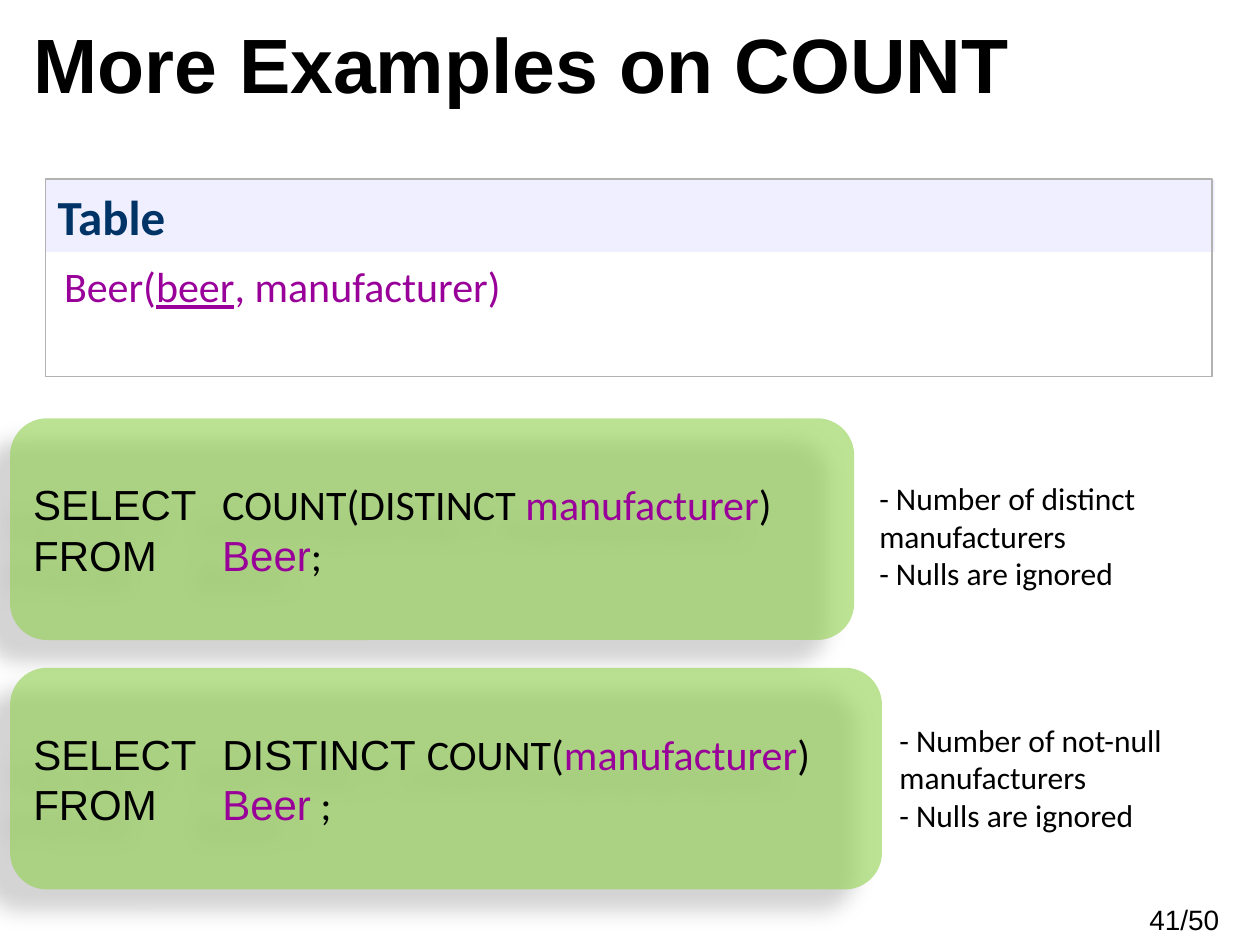
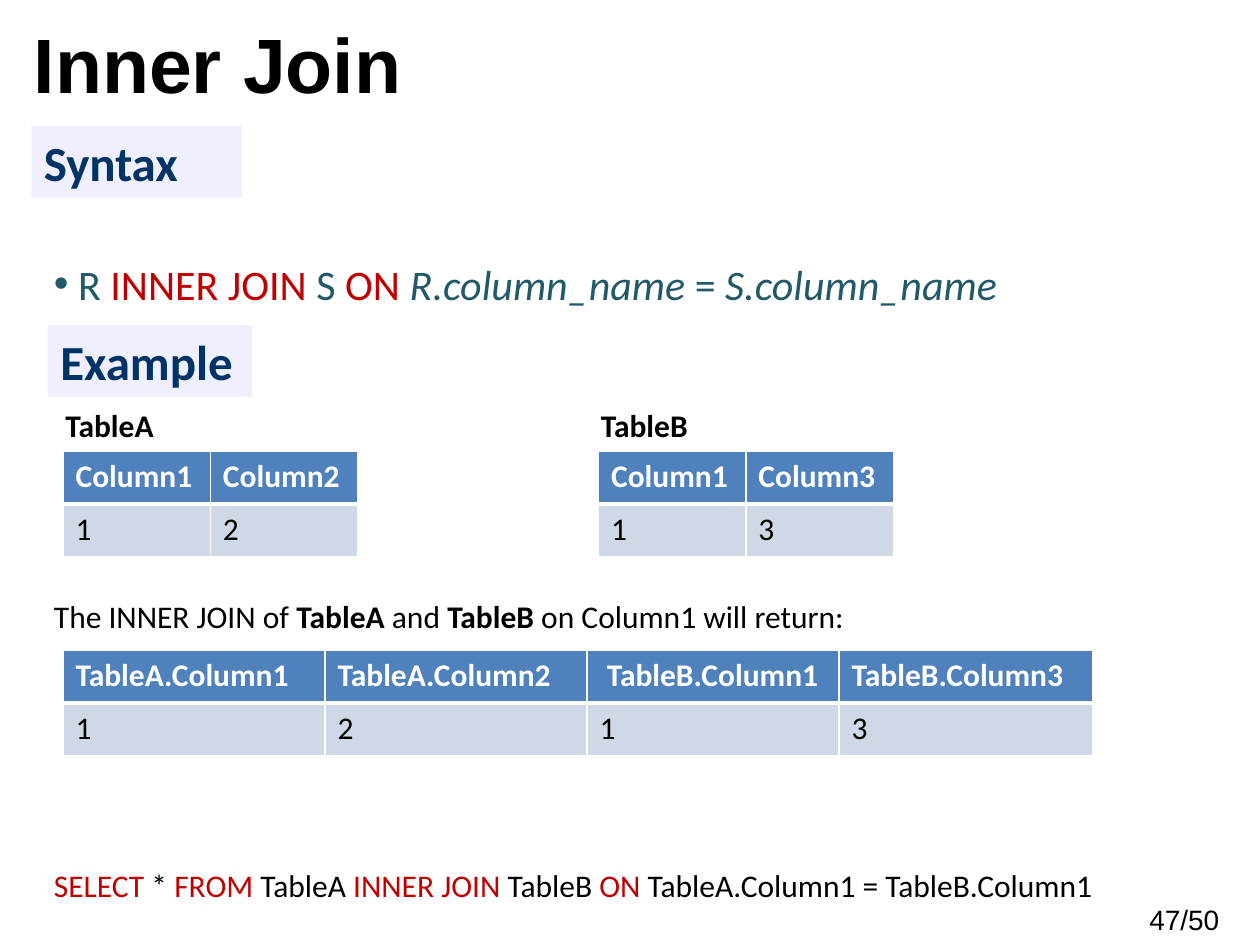
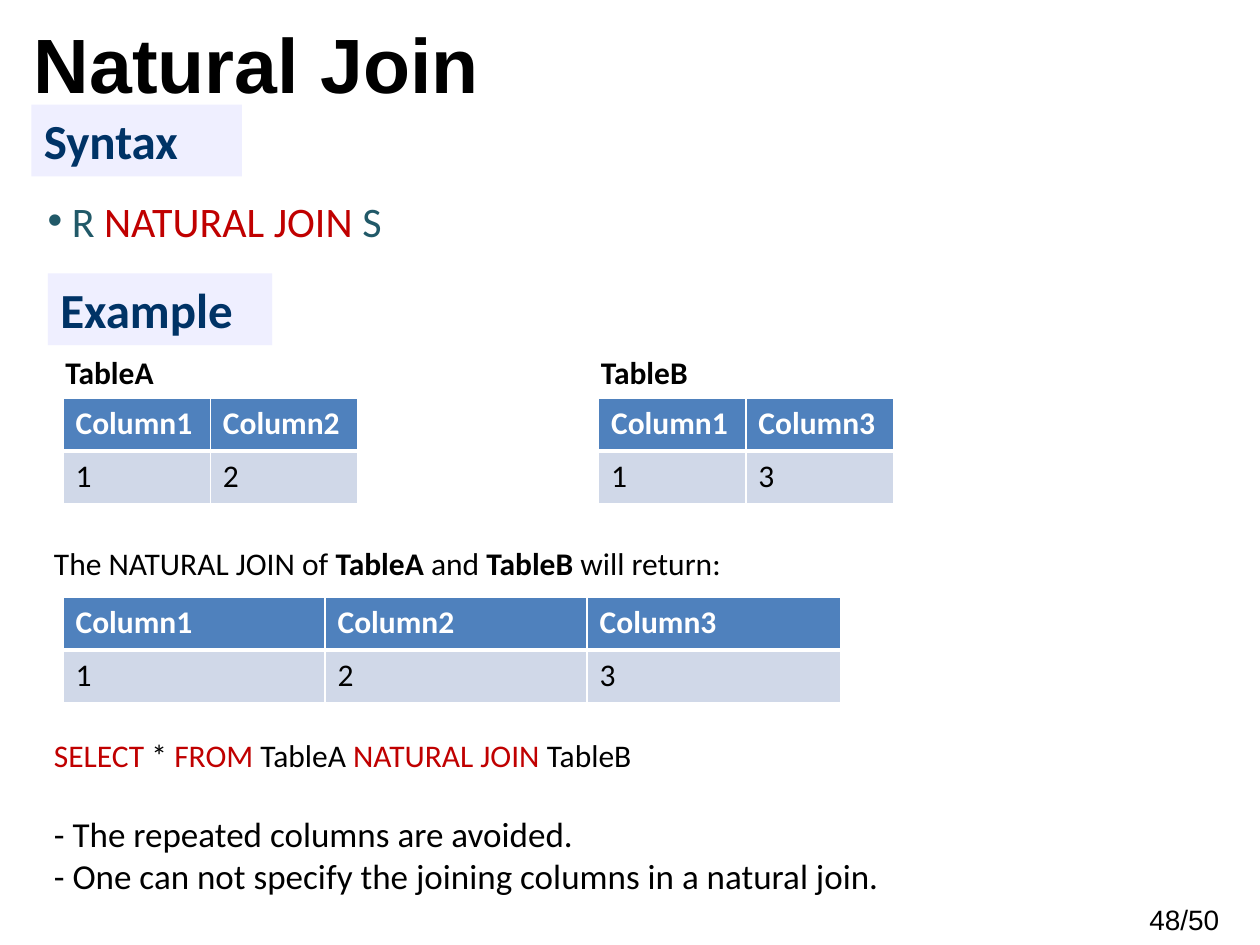
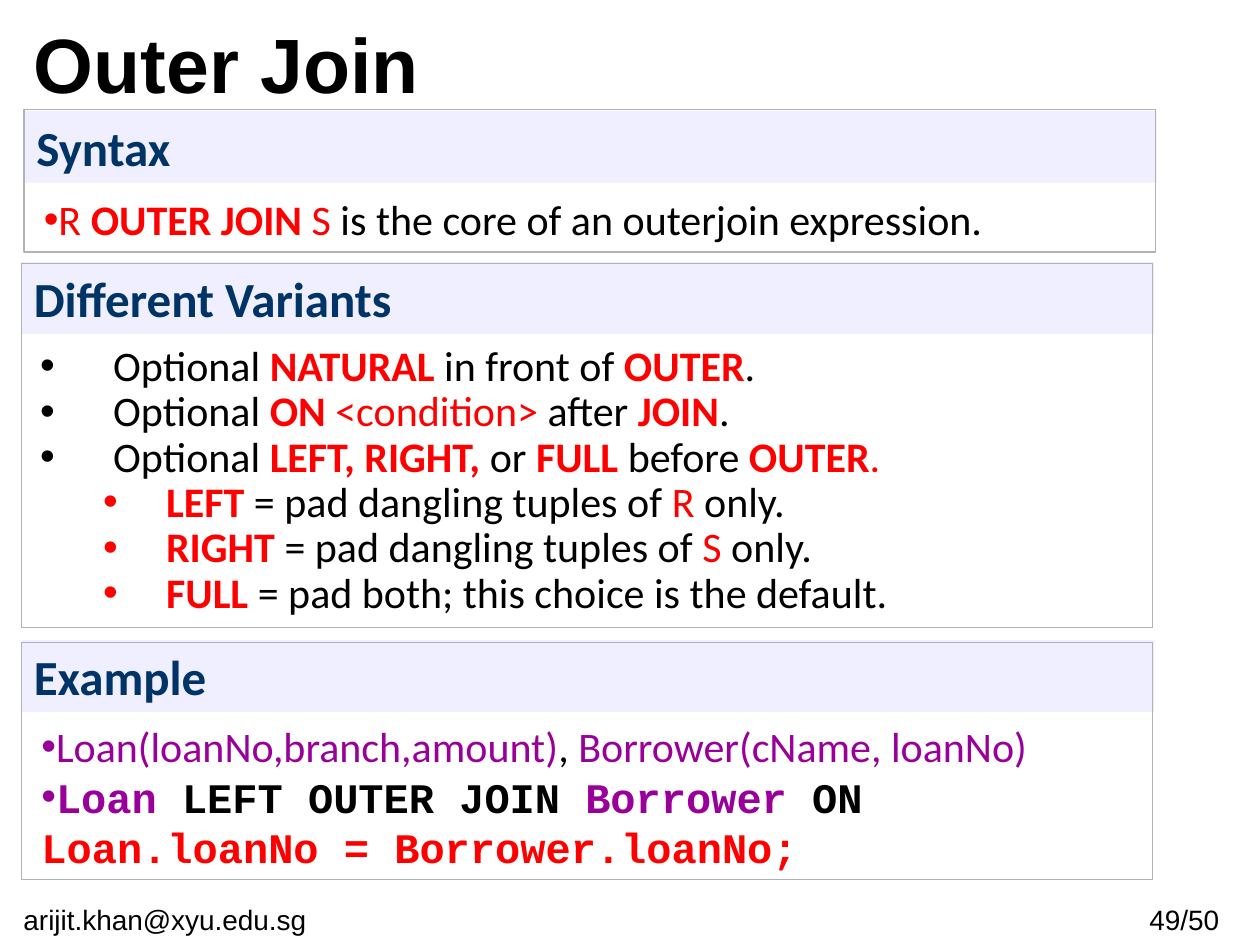
import pptx
import pptx.util
import pptx.dml.color
import pptx.enum.shapes
import pptx.enum.text
import pptx.oxml
import pptx.oxml.ns
import lxml.etree

Inches = pptx.util.Inches
Pt = pptx.util.Pt
SHAPES = pptx.enum.shapes.MSO_SHAPE
ALIGN = pptx.enum.text.PP_ALIGN
ANCHOR = pptx.enum.text.MSO_ANCHOR
AUTO = pptx.enum.text.MSO_AUTO_SIZE
qn = pptx.oxml.ns.qn

COLORS = {
    "black": "000000", "white": "FFFFFF", "navy": "003366", "band": "EFEFFF",
    "frame": "B2B2B2", "purple": "990099", "green": "92D050", "teal": "215968",
    "crimson": "C00000", "red": "FF0000", "header": "4F81BD", "row": "D0D8E8",
}
FONTS = {"calibri": "Calibri", "arial": "Arial", "courier": "Courier New"}
LINE = 22

COUNT_QUERIES = [
    {
        "top": 3.32, "width": 6.7, "note_at": (6.88, 3.75, 2.79, 1.01),
        "query": [
            [("SELECT \t", "arial"), "COUNT(DISTINCT ", ("manufacturer", "purple"), ")"],
            [("FROM\t\t", "arial"), ("Beer", "arial purple"), ";"],
        ],
        "note": ["- Number of distinct manufacturers", "- Nulls are ignored"],
    },
    {
        "top": 5.3, "width": 6.92, "note_at": (7.04, 5.67, 2.96, 1.01),
        "query": [
            [("SELECT \tDISTINCT ", "arial"), "COUNT(", ("manufacturer", "purple"), ")"],
            [("FROM\t\t", "arial"), ("Beer", "arial purple"), " ;"],
        ],
        "note": ["- Number of not-null manufacturers", "- Nulls are ignored"],
    },
]

SOURCE_TABLES = [
    ("TableA", 0.42, [["Column1", "Column2"], ["1", "2"]]),
    ("TableB", 4.67, [["Column1", "Column3"], ["1", "3"]]),
]

JOINS = [
    {
        "title": "Inner Join", "number": "47/50 ", "syntax_top": 1,
        "rule_at": (0.33, 2, 9.33, 0.5), "example_top": 2.58, "example_width": 1.62,
        "rule": [(" R ", "teal"), ("INNER JOIN ", "crimson"), ("S ", "teal"), ("ON ", "crimson"),
                 ("R.column_name ", "teal italic"), ("= ", "teal"), ("S.column_name", "teal italic")],
        "body_top": 3.16, "body_height": 4.04,
        "intro": ["The INNER JOIN of ", ("TableA", "bold"), " and ", ("TableB", "bold"),
                  " on Column1 will return:"],
        "query": [("SELECT", "crimson"), " * ", ("FROM ", "crimson"), "TableA ",
                  ("INNER JOIN ", "crimson"), "TableB ", ("ON ", "crimson"),
                  "TableA.Column1 = TableB.Column1"],
        "query_gap": 6, "remarks": [],
        "widths": [2.08, 2.08, 2, 2.01],
        "result": [["TableA.Column1", "TableA.Column2", " TableB.Column1", "TableB.Column3"],
                   ["1", "2", "1", "3"]],
    },
    {
        "title": "Natural Join", "number": "48/50 ", "syntax_top": 0.83,
        "rule_at": (0.28, 1.5, 5.8, 0.5), "example_top": 2.17, "example_width": 1.78,
        "rule": [(" R ", "teal"), ("NATURAL JOIN ", "crimson"), ("S", "teal")],
        "body_top": 2.74, "body_height": 4.41,
        "intro": ["The NATURAL JOIN of ", ("TableA", "bold"), " and ", ("TableB ", "bold"),
                  "will return:"],
        "query": [("SELECT ", "crimson"), "* ", ("FROM ", "crimson"), "TableA ",
                  ("NATURAL JOIN ", "crimson"), "TableB"],
        "query_gap": 4,
        "remarks": ["- The repeated columns are avoided.",
                    "- One can not specify the joining columns in a natural join."],
        "widths": [2.08, 2.08, 2.01],
        "result": [["Column1", "Column2", "Column3"], ["1", "2", "3"]],
    },
]

OPTION = {"bullet": True, "indent": (0.58, -0.58), "line": 0.9}
VARIANT = {"bullet": True, "indent": (1, -0.5), "line": 0.9, "level": 1}
BULLET = {"bullet": True}

OUTER_PANELS = [
    {
        "heading": "Syntax", "band_at": (0.19, 0.88), "frame_at": (0.19, 0.87, 8.98, 1.13),
        "text_at": (0.25, 1.49, 8.9, 0.5),
        "lines": [
            ([("R ", "red"), ("OUTER JOIN", "red bold"), (" S ", "red"),
              "is the core of an outerjoin expression."], BULLET),
        ],
    },
    {
        "heading": "Different Variants", "band_at": (0.17, 2.08), "frame_at": (0.17, 2.09, 8.98, 2.89),
        "text_at": (0.22, 2.69, 8.95, 2.28),
        "lines": [
            (["Optional ", ("NATURAL", "red bold"), " in front of ", ("OUTER", "red bold"), "."], OPTION),
            (["Optional ", ("ON", "red bold"), (" <condition> ", "red"), "after ",
              ("JOIN", "red bold"), "."], OPTION),
            (["Optional ", ("LEFT, RIGHT, ", "red bold"), "or ", ("FULL", "red bold"), " before ",
              ("OUTER", "red bold"), (".", "red")], OPTION),
            ([("LEFT", "red bold"), " = pad dangling tuples of ", ("R ", "red"), "only."], VARIANT),
            ([("RIGHT", "red bold"), " = pad dangling tuples of ", ("S", "red"), " only."], VARIANT),
            ([("FULL", "red bold"), " = pad both; this choice is the default."], VARIANT),
        ],
    },
    {
        "heading": "Example", "band_at": (0.17, 5.08), "frame_at": (0.17, 5.1, 8.98, 1.88),
        "text_at": (0.23, 5.67, 8.91, 1.31),
        "lines": [
            ([("Loan(loanNo,branch,amount)", "purple"), ", ",
              ("Borrower(cName, loanNo)", "purple")], BULLET),
            ([("Loan", "courier purple bold"), (" LEFT OUTER JOIN ", "courier bold"),
              ("Borrower", "courier purple bold"), (" ON ", "courier bold"),
              ("Loan.loanNo = Borrower.loanNo;", "courier red bold")], BULLET),
        ],
    },
]


def rgb(name):
    return pptx.dml.color.RGBColor.from_string(COLORS[name])


def inches(place):
    return [Inches(value) for value in place]


def write_spans(para, spans, size=24, style=""):
    for item in [spans] if isinstance(spans, str) else spans:
        words, extra = (item, "") if isinstance(item, str) else item
        look = (style + " " + extra).split()
        span = para.add_run()
        span.text = words
        font = span.font
        font.size = Pt(size)
        font.name = next((FONTS[word] for word in look if word in FONTS), "Calibri")
        font.color.rgb = rgb(next((word for word in look if word in COLORS), "black"))
        font.bold = "bold" in look
        font.italic = "italic" in look
        font.underline = "underline" in look


def format_para(para, align=ALIGN.LEFT, bullet=False, indent=None, line=None, level=0, before=None):
    para.alignment = align
    para.level = level
    if line:
        para.line_spacing = line
    if before:
        para.space_before = Pt(before)
    properties = para._p.get_or_add_pPr()
    if indent:
        properties.set("marL", str(Inches(indent[0])))
        properties.set("indent", str(Inches(indent[1])))
    if bullet:
        font = lxml.etree.SubElement(properties, qn("a:buFont"))
        font.set("typeface", "Arial")
        lxml.etree.SubElement(properties, qn("a:buChar")).set("char", "•")


def fill_text(shape, lines, size=24, style="", wrap=True, grow=True, anchor=ANCHOR.TOP, top_inset=0.05):
    frame = shape.text_frame
    frame.word_wrap = wrap
    frame.auto_size = AUTO.SHAPE_TO_FIT_TEXT if grow else AUTO.NONE
    frame.vertical_anchor = anchor
    frame.margin_top = Inches(top_inset)
    for index, (spans, layout) in enumerate(lines):
        para = frame.paragraphs[0] if index == 0 else frame.add_paragraph()
        layout = dict(layout)
        span_size = layout.pop("size", size)
        format_para(para, **layout)
        write_spans(para, spans, span_size, style)


def add_text(page, place, lines, **look):
    box = page.shapes.add_textbox(*inches(place))
    fill_text(box, lines, **look)
    return box


def add_block(page, place, kind=SHAPES.RECTANGLE, fill=None, line=None):
    block = page.shapes.add_shape(kind, *inches(place))
    block.shadow.inherit = False
    if fill:
        block.fill.solid()
        block.fill.fore_color.rgb = rgb(fill)
    else:
        block.fill.background()
    if line:
        block.line.color.rgb = rgb(line)
        block.line.width = Pt(0.75)
    else:
        block.line.fill.background()
    return block


def add_heading(page, left, top, width, text):
    band = add_block(page, (left, top, width, 0.57), fill="band")
    fill_text(band, [(text, {})], size=28, style="navy bold")


def add_query(page, place, lines):
    card = add_block(page, place, SHAPES.ROUNDED_RECTANGLE, fill="green")
    color = card._element.spPr.find(qn("a:solidFill"))[0]
    lxml.etree.SubElement(color, qn("a:alpha")).set("val", "61000")
    effects = card._element.spPr.find(qn("a:effectLst"))
    shadow = lxml.etree.SubElement(effects, qn("a:outerShdw"))
    settings = {"blurRad": Pt(11.8), "dist": Pt(19.7), "dir": 141 * 60000, "algn": "tr", "rotWithShape": 0}
    for name, value in settings.items():
        shadow.set(name, str(value))
    tint = lxml.etree.SubElement(shadow, qn("a:srgbClr"))
    tint.set("val", COLORS["black"])
    lxml.etree.SubElement(tint, qn("a:alpha")).set("val", "28000")
    fill_text(card, [(line, {}) for line in lines], wrap=False, grow=False, anchor=ANCHOR.MIDDLE)


def set_borders(cell, widths):
    properties = cell._tc.get_or_add_tcPr()
    for index, (side, width) in enumerate(widths.items()):
        edge = lxml.etree.Element(qn("a:ln" + side))
        edge.set("w", str(Pt(width)))
        paint = lxml.etree.SubElement(edge, qn("a:solidFill"))
        lxml.etree.SubElement(paint, qn("a:srgbClr")).set("val", COLORS["white"])
        properties.insert(index, edge)


def add_grid(page, left, top, widths, rows):
    place = inches((left, top, sum(widths), 0.42 * len(rows)))
    table = page.shapes.add_table(len(rows), len(widths), *place).table
    table.horz_banding = False
    for column, width in zip(table.columns, widths):
        column.width = Inches(width)
    for row_index, row in enumerate(rows):
        table.rows[row_index].height = Inches(0.42)
        is_header = row_index == 0
        for column_index, text in enumerate(row):
            cell = table.cell(row_index, column_index)
            cell.fill.solid()
            cell.fill.fore_color.rgb = rgb("header" if is_header else "row")
            write_spans(cell.text_frame.paragraphs[0], text, 18, "white bold" if is_header else "")
            set_borders(cell, {"L": 1, "R": 1, "T": 1 if is_header else 3, "B": 3 if is_header else 1})


def add_footer(page, left, width, text):
    add_text(page, (left, 7.11, width, 0.39), [(text, {"align": ALIGN.CENTER})],
             size=16, style="arial", grow=False)


def add_page(deck, title, number):
    page = deck.slides.add_slide(deck.slide_layouts[6])
    add_text(page, (0.17, 0.08, 8.51, 0.84), [(title, {})], size=44, style="arial bold")
    add_footer(page, 8.85, 1.16, number)
    return page


def build_count(deck):
    page = add_page(deck, "More Examples on COUNT", "41/50 ")
    add_heading(page, 0.36, 1.43, 9.28, "Table")
    schema = ["Beer(", ("beer", "underline"), ", manufacturer)"]
    add_text(page, (0.41, 2.02, 9.25, 0.5), [(schema, {})], style="purple")
    add_block(page, (0.36, 1.42, 9.26, 1.57), line="frame")
    for item in COUNT_QUERIES:
        add_query(page, (0.08, item["top"], item["width"], 1.76), item["query"])
    for item in COUNT_QUERIES:
        add_text(page, item["note_at"], [(line, {}) for line in item["note"]], size=18)


def build_join(deck, join):
    page = add_page(deck, join["title"], join["number"])
    add_text(page, join["rule_at"], [(join["rule"], BULLET)])
    add_heading(page, 0.25, join["syntax_top"], 1.67, "Syntax")
    add_heading(page, 0.38, join["example_top"], join["example_width"], "Example")
    top = join["body_top"]
    lines = [(join["intro"], {}), (join["query"], {"before": join["query_gap"] * LINE})]
    for index, remark in enumerate(join["remarks"]):
        lines.append((remark, {"size": 20, "before": LINE if index == 0 else None}))
    add_text(page, (0.33, top, 9.04, join["body_height"]), lines, size=18,
             top_inset=0.05 + 5 * LINE / 72)
    for name, left, rows in SOURCE_TABLES:
        add_grid(page, left + 0.08, top + 0.42, [1.17, 1.17], rows)
        add_text(page, (left, top + 0.01, 0.91, 0.4), [(name, {})], size=18, style="bold", wrap=False)
    add_grid(page, 0.5, top + 2, join["widths"], join["result"])


def build_outer(deck):
    page = add_page(deck, "Outer Join", "49/50 ")
    add_footer(page, 0, 2.68, "arijit.khan@xyu.edu.sg ")
    for panel in OUTER_PANELS:
        add_heading(page, *panel["band_at"], 8.99, panel["heading"])
        add_block(page, panel["frame_at"], line="frame")
        add_text(page, panel["text_at"], panel["lines"])


def main():
    deck = pptx.Presentation()
    deck.slide_width = Inches(10)
    deck.slide_height = Inches(7.5)
    build_count(deck)
    for join in JOINS:
        build_join(deck, join)
    build_outer(deck)
    deck.save("out.pptx")


if __name__ == "__main__":
    main()
